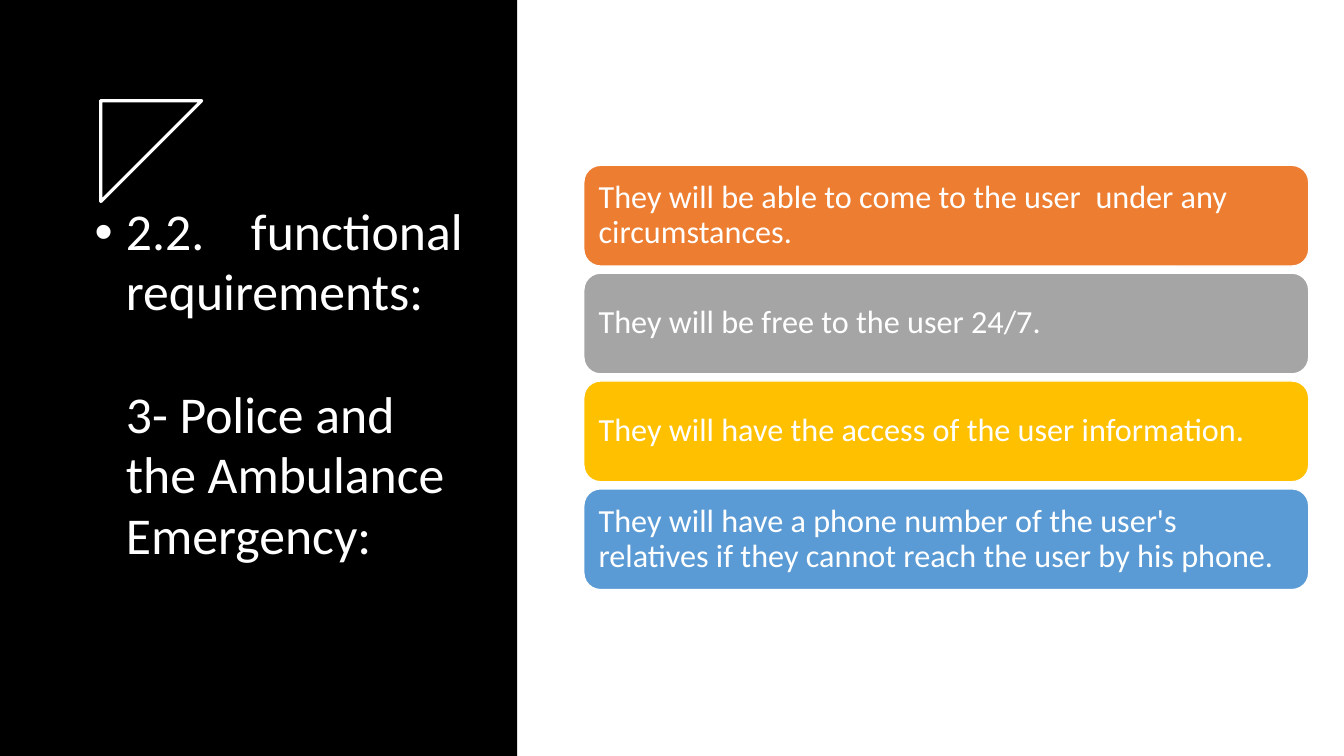
from lxml import etree
from pptx import Presentation
from pptx import util as u
from pptx.dml.color import RGBColor
from pptx.enum import shapes, text
from pptx.oxml import ns

WHITE = "FFFFFF"
FONT = "Calibri"
REQUIREMENTS = [
    ("They will be able to come to the user\u00a0 under any circumstances.", "ED7D31"),
    ("They will be free\u00a0to the user 24/7.", "A5A5A5"),
    ("They\u00a0will have the access of the user information.", "FFC000"),
    ("They will have a phone number of the user's relatives "
     "if they cannot reach the user by his phone.", "5B9BD5"),
]


def color(value):
    """Turn a hex string into a colour."""
    return RGBColor.from_string(value)


def paint(shape, fill=None, line=None, width=1):
    """Set fill and outline of a shape and drop its shadow."""
    shape.shadow.inherit = False
    if fill:
        shape.fill.solid()
        shape.fill.fore_color.rgb = color(fill)
    else:
        shape.fill.background()
    if line:
        shape.line.color.rgb = color(line)
        shape.line.width = u.Pt(width)
    else:
        shape.line.fill.background()


def write(paragraph, words, size, spacing):
    """Put white, left-aligned words in a paragraph."""
    paragraph.text = words
    paragraph.alignment = text.PP_ALIGN.LEFT
    paragraph.line_spacing = spacing
    for run in paragraph.runs:
        run.font.size = u.Pt(size)
        run.font.name = FONT
        run.font.color.rgb = color(WHITE)


def indent(paragraph, margin, bullet=None):
    """Indent a paragraph and hang a bullet before it if one is given."""
    properties = paragraph._p.get_or_add_pPr()
    properties.set("marL", str(u.Inches(margin)))
    if bullet:
        properties.set("indent", str(-u.Inches(margin)))
        font = etree.SubElement(properties, ns.qn("a:buFont"))
        font.set("typeface", "Arial")
        etree.SubElement(properties, ns.qn("a:buChar")).set("char", bullet)


def add_panel(slide, height):
    """Add the black panel behind the heading."""
    panel = slide.shapes.add_shape(
        shapes.MSO_SHAPE.RECTANGLE, 0, 0, u.Inches(5.13), height)
    paint(panel, "000000")


def add_hexagon(slide, left, top, width, height):
    """Add a hexagon outline with softened corners."""
    slant, middle = width * 0.26, top + height / 2
    right, bottom = left + width, top + height
    corners = [(left, middle), (left + slant, top), (right - slant, top),
               (right, middle), (right - slant, bottom), (left + slant, bottom)]
    points = []
    for i, corner in enumerate(corners):
        before, after = corners[i - 1], corners[(i + 1) % 6]
        for step in range(5):
            t = step / 4
            points.append(tuple(
                c + 0.1 * ((1 - t) ** 2 * (b - c) + t ** 2 * (a - c))
                for b, c, a in zip(before, corner, after)))
    builder = slide.shapes.build_freeform(*points[0], scale=u.Inches(1))
    builder.add_line_segments(points[1:], close=True)
    paint(builder.convert_to_shape(), line=WHITE, width=2.25)


def add_heading(slide):
    """Add the bulleted section heading and its subject."""
    box = slide.shapes.add_textbox(
        u.Inches(0.84), u.Inches(1.95), u.Inches(3.92), u.Inches(4.52))
    frame = box.text_frame
    frame.word_wrap = True
    section, subject = frame.paragraphs[0], frame.add_paragraph()
    write(section, "2.2.\u00a0\u00a0\u00a0 functional requirements:", 36.9, 0.98)
    indent(section, 0.31, "\u2022")
    write(subject, "3- Police and the Ambulance Emergency:", 36.9, 0.98)
    subject.space_before = u.Pt(44)
    indent(subject, 0.31)


def add_requirement(slide, top, words, fill):
    """Add one rounded bar with a requirement."""
    bar = slide.shapes.add_shape(
        shapes.MSO_SHAPE.ROUNDED_RECTANGLE,
        u.Inches(5.79), u.Inches(top), u.Inches(7.19), u.Inches(1))
    paint(bar, fill, WHITE)
    frame = bar.text_frame
    frame.word_wrap = True
    frame.vertical_anchor = text.MSO_ANCHOR.MIDDLE
    frame.margin_left = frame.margin_right = u.Inches(0.1)
    frame.margin_top = frame.margin_bottom = u.Inches(0.1)
    write(frame.paragraphs[0], words, 23, 0.9)


def main():
    """Build the slide and save it."""
    deck = Presentation()
    deck.slide_width, deck.slide_height = u.Inches(13.33), u.Inches(7.5)
    slide = deck.slides.add_slide(deck.slide_layouts[6])
    add_panel(slide, deck.slide_height)
    add_heading(slide)
    add_hexagon(slide, 0.83, 1.02, 0.76, 0.65)
    add_hexagon(slide, 1.46, 0.75, 0.62, 0.53)
    for row, (words, fill) in enumerate(REQUIREMENTS):
        add_requirement(slide, 1.64 + 1.07 * row, words, fill)
    deck.save("out.pptx")


main()
